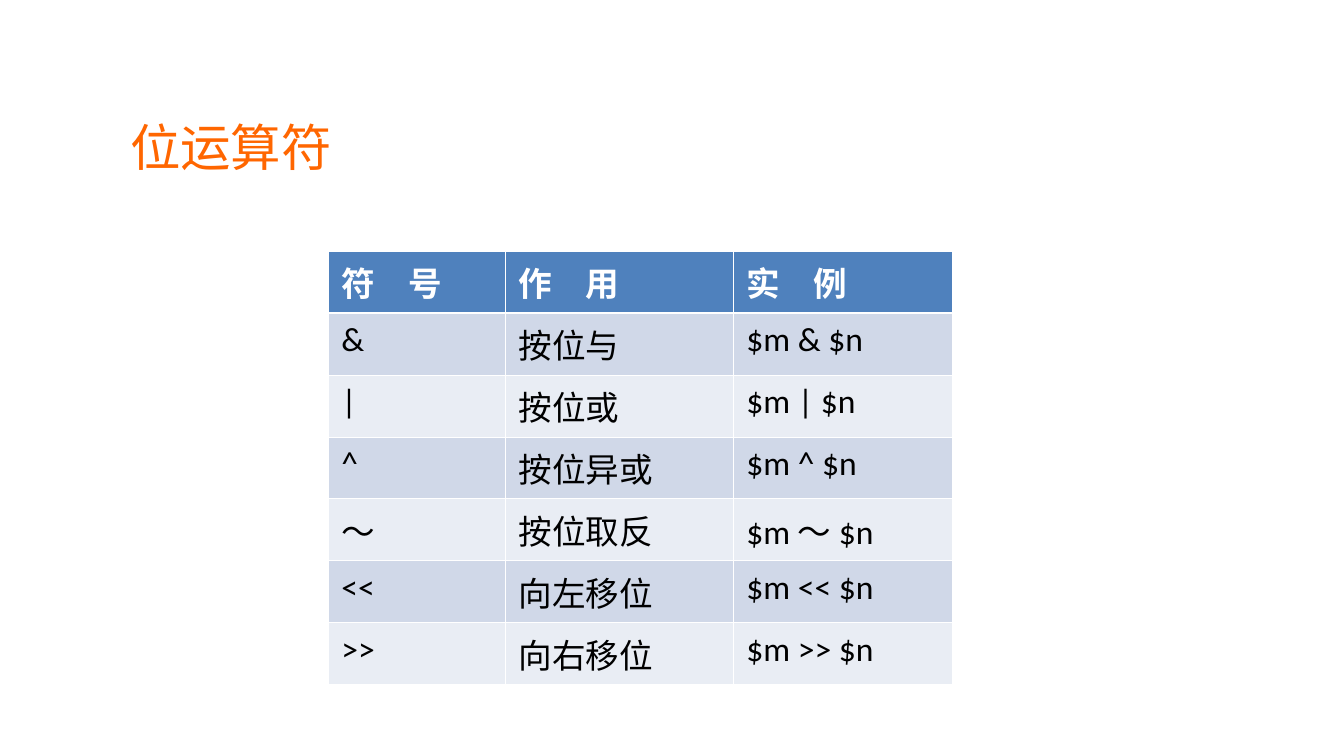
from lxml import etree
from pptx import Presentation
from pptx import util as u
from pptx.dml.color import RGBColor
from pptx.enum import text
from pptx.oxml.ns import qn

SCALE = 914400 / 134.4  # EMU per px
COLORS = {
    "title": "FF6600",
    "header": "4F81BD",
    "odd": "D0D8E8",
    "even": "E9EDF4",
    "white": "FFFFFF",
    "black": "000000",
}
ROWS = [
    ("符　号", "作　用", "实　例"),
    ("&", "按位与", "$m & $n"),
    ("|", "按位或", "$m | $n"),
    ("^", "按位异或", "$m ^ $n"),
    ("～", "按位取反", "$m ～ $n"),
    ("<<", "向左移位", "$m << $n"),
    (">>", "向右移位", "$m >> $n"),
]
COLUMN_WIDTHS = [177, 228, 219]
ROW_HEIGHT = 62


def px(value):
    return u.Emu(round(value * SCALE))


def style_run(paragraph, font_name, size, color, bold=False):
    font = paragraph.runs[0].font
    font.name = font_name
    font.size = u.Pt(size)
    font.bold = bold
    font.color.rgb = RGBColor.from_string(COLORS[color])


presentation = Presentation()
presentation.slide_width = px(1344)
presentation.slide_height = px(756)
slide = presentation.slides.add_slide(presentation.slide_layouts[6])

# Title
title = slide.shapes.add_textbox(px(119), px(95), px(722), px(103))
frame = title.text_frame
frame.word_wrap = True
frame.vertical_anchor = text.MSO_ANCHOR.MIDDLE
frame.margin_left = frame.margin_right = px(11)
frame.margin_top = frame.margin_bottom = px(5)
frame.text = "位运算符"
style_run(frame.paragraphs[0], "Arial", 27, "title")

# Operator table
table = slide.shapes.add_table(
    len(ROWS), len(COLUMN_WIDTHS), px(328), px(251),
    px(sum(COLUMN_WIDTHS)), px(ROW_HEIGHT * len(ROWS)),
).table
for column, width in zip(table.columns, COLUMN_WIDTHS):
    column.width = px(width)
for row in table.rows:
    row.height = px(ROW_HEIGHT)

for row_index, labels in enumerate(ROWS):
    is_header = row_index == 0
    fill = "header" if is_header else "odd" if row_index % 2 else "even"
    for column_index, label in enumerate(labels):
        cell = table.cell(row_index, column_index)
        cell.text_frame.text = label
        style_run(cell.text_frame.paragraphs[0], "Calibri", 18,
                  "white" if is_header else "black", is_header)

        # White borders, thicker below the header; they must precede the fill
        properties = cell._tc.get_or_add_tcPr()
        for side in ("L", "R", "T", "B"):
            thick = (row_index, side) in ((0, "B"), (1, "T"))
            line = etree.SubElement(properties, qn(f"a:ln{side}"),
                                    w=str(u.Pt(1.47 if thick else 0.45)))
            solid = etree.SubElement(line, qn("a:solidFill"))
            etree.SubElement(solid, qn("a:srgbClr"), val=COLORS["white"])
        cell.fill.solid()
        cell.fill.fore_color.rgb = RGBColor.from_string(COLORS[fill])

presentation.save("out.pptx")
